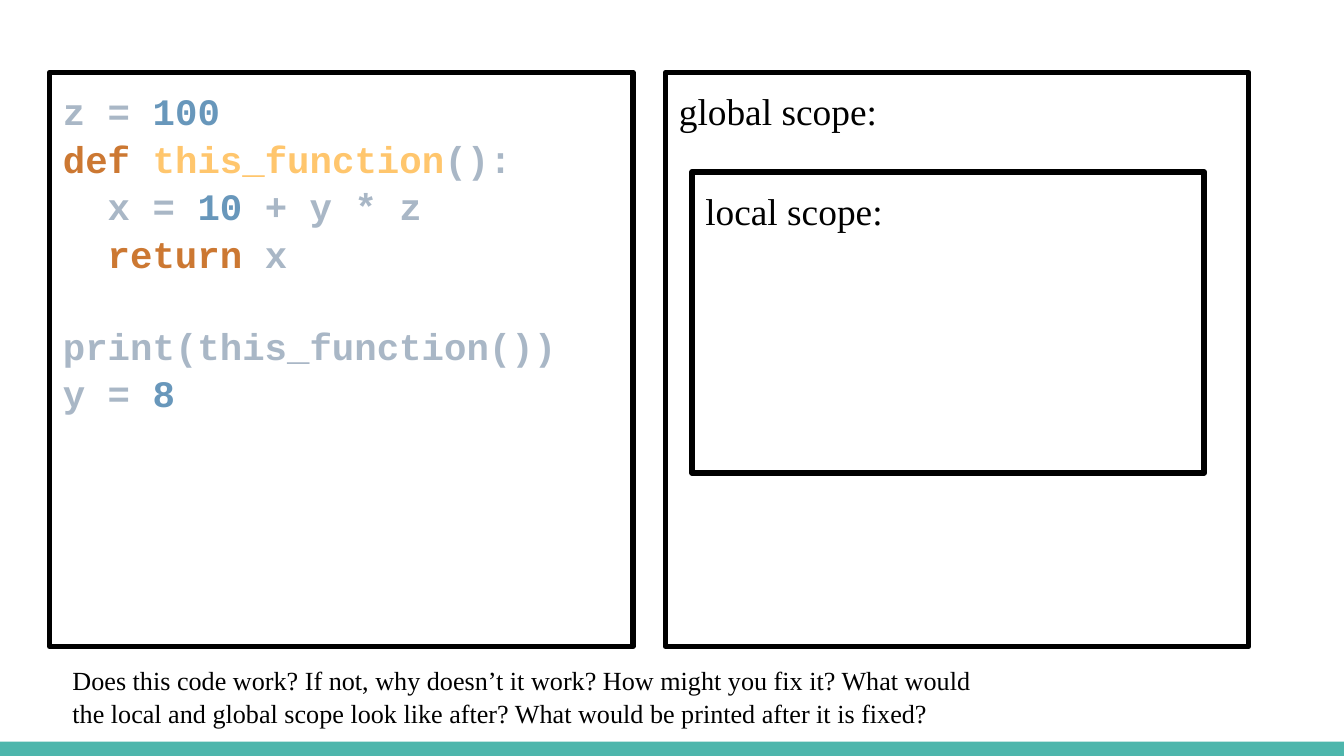
from pptx import Presentation
from pptx.dml.color import RGBColor
from pptx.enum.shapes import MSO_SHAPE as Shape
from pptx.enum.text import MSO_ANCHOR as Anchor, PP_ALIGN as Align
from pptx.util import Cm, Pt

SERIF, MONO = "Times New Roman", "Courier New"
BLACK, TEAL = "000000", "4DB6AC"
PLAIN, NUMBER, KEYWORD, NAME = "A9B7C6", "6897BB", "CC7832", "FFC66D"
LINE_SPACING = 1.06
CODE_SIZE = 20
CODE_LINE = 24    # points from one code line to the next
CODE_INDENT = 24  # points, two characters wide

# (indent level, blank lines before, [(text, colour), ...])
CODE = [
    (0, 0, [("z = ", PLAIN), ("100", NUMBER)]),
    (0, 0, [("def ", KEYWORD), ("this_function", NAME), ("():", PLAIN)]),
    (1, 0, [("x = ", PLAIN), ("10 ", NUMBER), ("+ y * z", PLAIN)]),
    (1, 0, [("return ", KEYWORD), ("x", PLAIN)]),
    (0, 1, [("print(this_function())", PLAIN)]),
    (0, 0, [("y = ", PLAIN), ("8", NUMBER)]),
]
QUESTION = (
    "Does this code work? If not, why doesn’t it work? How might you fix it? "
    "What would the local and global scope look like after? "
    "What would be printed after it is fixed?"
)

# left, top, width, height in cm
PAGE_WIDTH, PAGE_HEIGHT = 25.4, 14.29
BAR_HEIGHT = 0.27
PANEL_LEFT, PANEL_TOP, PANEL_WIDTH, PANEL_HEIGHT = 0.94, 1.37, 11.02, 10.85
PANEL_GAP = 0.62
CODE_PANEL = (PANEL_LEFT, PANEL_TOP, PANEL_WIDTH, PANEL_HEIGHT)
GLOBAL_PANEL = (PANEL_LEFT + PANEL_WIDTH + PANEL_GAP, *CODE_PANEL[1:])
LOCAL_PANEL = (13.08, 3.25, 9.68, 5.69)
QUESTION_BOX = (1.12, 12.27, 18.16, 1.24)


def colour(value):
    return RGBColor.from_string(value)


def set_up_frame(box):
    frame = box.text_frame
    frame.word_wrap = True
    frame.vertical_anchor = Anchor.TOP
    frame.margin_left = frame.margin_right = Cm(0.25)
    frame.margin_top = frame.margin_bottom = Cm(0.25)
    return frame


def format_para(para, font, size):
    para.alignment = Align.LEFT
    para.line_spacing = LINE_SPACING
    para.font.name = font
    para.font.size = Pt(size)


def add_panel(page, place):
    panel = page.shapes.add_shape(Shape.RECTANGLE, *map(Cm, place))
    panel.shadow.inherit = False
    panel.fill.background()
    panel.line.color.rgb = colour(BLACK)
    panel.line.width = Pt(3)
    return set_up_frame(panel)


def write_text(frame, text, size):
    para = frame.paragraphs[0]
    para.text = text
    format_para(para, SERIF, size)
    para.font.color.rgb = colour(BLACK)


def write_code(frame):
    for number, (level, blanks, spans) in enumerate(CODE):
        para = frame.add_paragraph() if number else frame.paragraphs[0]
        format_para(para, MONO, CODE_SIZE)
        para.font.bold = True
        if blanks:
            para.space_before = Pt(blanks * CODE_LINE)
        if level:
            properties = para._p.get_or_add_pPr()
            properties.set("marL", str(Pt(level * CODE_INDENT)))
            properties.set("indent", "0")
        for text, shade in spans:
            span = para.add_run()
            span.text = text
            span.font.color.rgb = colour(shade)


def main():
    deck = Presentation()
    deck.slide_width, deck.slide_height = Cm(PAGE_WIDTH), Cm(PAGE_HEIGHT)
    page = deck.slides.add_slide(deck.slide_layouts[6])

    bar = page.shapes.add_shape(
        Shape.RECTANGLE, 0, Cm(PAGE_HEIGHT - BAR_HEIGHT), Cm(PAGE_WIDTH), Cm(BAR_HEIGHT)
    )
    bar.shadow.inherit = False
    bar.fill.solid()
    bar.fill.fore_color.rgb = colour(TEAL)
    bar.line.fill.background()

    write_code(add_panel(page, CODE_PANEL))
    write_text(add_panel(page, GLOBAL_PANEL), "global scope:", 20)
    write_text(add_panel(page, LOCAL_PANEL), "local scope:", 20)
    question = page.shapes.add_textbox(*map(Cm, QUESTION_BOX))
    write_text(set_up_frame(question), QUESTION, 14)

    deck.save("out.pptx")


if __name__ == "__main__":
    main()
